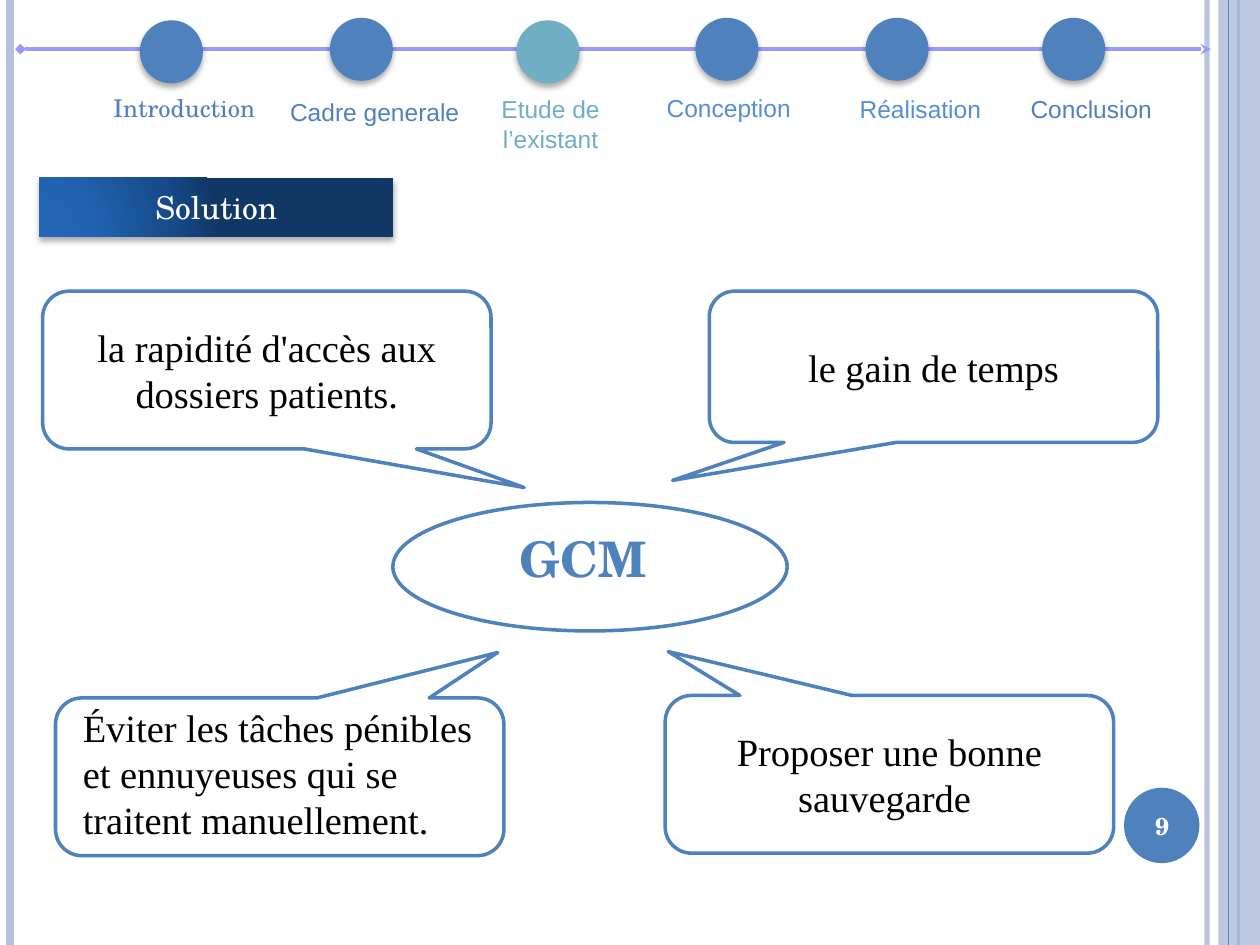
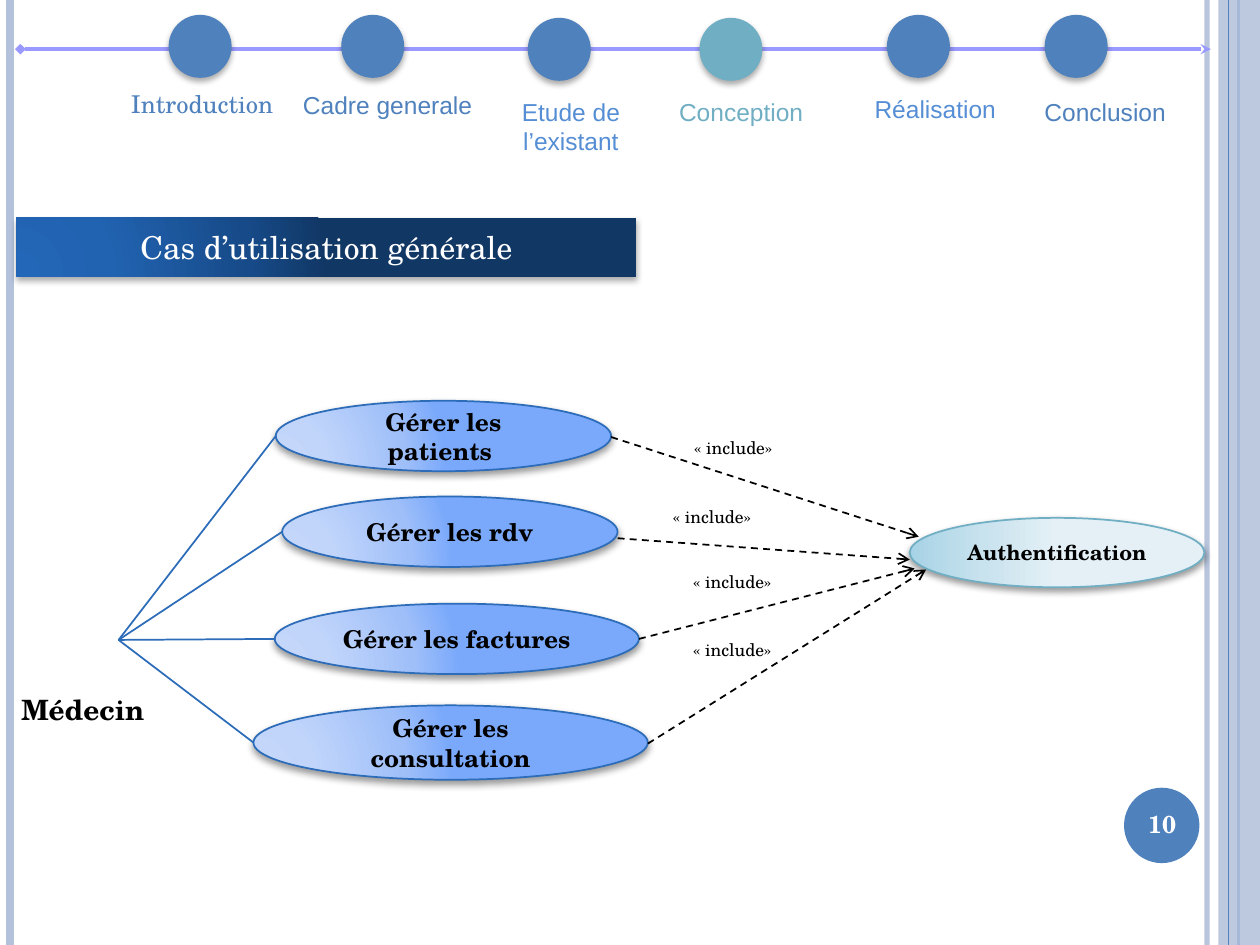
"""Builds two slides with a shared progress bar: the solution and the general use case."""
from lxml import etree
from pptx import Presentation
from pptx.dml.color import RGBColor
from pptx.enum.dml import MSO_LINE
from pptx.enum.shapes import MSO_CONNECTOR, MSO_SHAPE
from pptx.enum.text import MSO_ANCHOR, MSO_AUTO_SIZE, PP_ALIGN
from pptx.oxml.ns import qn
from pptx.util import Cm, Pt

STRAIGHT = MSO_CONNECTOR.STRAIGHT
OVAL = MSO_SHAPE.OVAL
RECTANGLE = MSO_SHAPE.RECTANGLE
STEP_CIRCLE = MSO_SHAPE.FLOWCHART_CONNECTOR
CALLOUT = MSO_SHAPE.ROUNDED_RECTANGULAR_CALLOUT
DASH = MSO_LINE.DASH
LEFT, CENTER = PP_ALIGN.LEFT, PP_ALIGN.CENTER
TOP, MIDDLE = MSO_ANCHOR.TOP, MSO_ANCHOR.MIDDLE
NO_AUTOFIT = MSO_AUTO_SIZE.NONE

COLORS = {
    "blue": "4F81BD", "light_blue": "558ED5", "teal": "70AEC3", "band": "B3C1DB",
    "violet": "9999FF", "use_case_line": "2C6CB9", "white": "FFFFFF", "black": "000000",
}
GRADIENTS = {
    "banner": ((0, "2367B8"), (30, "2263B1"), (75, "164A88"), (100, "113765")),
    "use_case": ((0, "C7D8FB"), (30, "C1D5FA"), (75, "9FBFF9"), (100, "7AA9FB")),
    "authentication": ((0, "A7D3E6"), (25, "C8E2EE"), (50, "E4F0F6")),
}
SHADOWS = {
    "small": {"alpha": 32000, "blurRad": 44450, "dist": 27940},
    "large": {"alpha": 40000, "blurRad": 50800, "dist": 25400},
}
SERIF, SANS, TIMES = "TeX Gyre Schola", "Arial", "Times New Roman"
FORMATS = {
    "title": {"name": SERIF, "size": Pt(18), "bold": False},
    "page": {"name": SERIF, "size": Pt(14), "bold": True},
    "step_serif": {"name": SERIF, "size": Pt(14), "bold": False},
    "step": {"name": SANS, "size": Pt(14), "bold": False},
    "center": {"name": SERIF, "size": Pt(28), "bold": True},
    "benefit": {"name": TIMES, "size": Pt(22), "bold": False},
    "use_case": {"name": SERIF, "size": Pt(14), "bold": True},
    "authentication": {"name": SERIF, "size": Pt(12), "bold": True},
    "actor": {"name": SERIF, "size": Pt(16), "bold": True},
    "include": {"name": SERIF, "size": Pt(10), "bold": False},
}


def style_shape(shape, fill=None, line=None, width=1, shadow=None, text=None,
                style=None, color="black", align=CENTER, anchor=MIDDLE, wrap=True):
    properties = shape.element.spPr
    shape.fill.background()
    if fill in COLORS:
        shape.fill.solid()
        shape.fill.fore_color.rgb = RGBColor.from_string(COLORS[fill])
    elif fill:
        gradient = etree.Element(qn("a:gradFill"), rotWithShape="1")
        stops = etree.SubElement(gradient, qn("a:gsLst"))
        for position, value in GRADIENTS[fill]:
            stop = etree.SubElement(stops, qn("a:gs"), pos=str(position * 1000))
            etree.SubElement(stop, qn("a:srgbClr"), val=value)
        if fill == "authentication":
            etree.SubElement(gradient, qn("a:lin"), ang="0", scaled="0")
        else:
            focus = etree.SubElement(gradient, qn("a:path"), path="circle")
            etree.SubElement(focus, qn("a:fillToRect"), l="5000", t="100000", r="120000", b="10000")
        properties.replace(properties.find(qn("a:noFill")), gradient)
    shape.line.fill.background()
    if line:
        shape.line.color.rgb = RGBColor.from_string(COLORS[line])
        shape.line.width = Pt(width)
    shape.shadow.inherit = False
    if shadow:
        values = SHADOWS[shadow]
        outer = etree.SubElement(properties.find(qn("a:effectLst")), qn("a:outerShdw"),
                                 blurRad=str(values["blurRad"]), dist=str(values["dist"]),
                                 dir="5400000", rotWithShape="0")
        shade = etree.SubElement(outer, qn("a:srgbClr"), val=COLORS["black"])
        etree.SubElement(shade, qn("a:alpha"), val=str(values["alpha"]))
    if text:
        frame = shape.text_frame
        frame.auto_size = NO_AUTOFIT
        frame.word_wrap = wrap
        frame.vertical_anchor = anchor
        paragraph = frame.paragraphs[0]
        paragraph.alignment = align
        run = paragraph.add_run()
        run.text = text
        for name, value in FORMATS[style].items():
            setattr(run.font, name, value)
        run.font.color.rgb = RGBColor.from_string(COLORS[color])
    return shape


def add_line(slide, start, end, color, width, dash=None, head=None, tail=None):
    connector = slide.shapes.add_connector(STRAIGHT, *map(Cm, start + end))
    connector.line.color.rgb = RGBColor.from_string(COLORS[color])
    connector.line.width = Pt(width)
    if dash:
        connector.line.dash_style = dash
    properties = connector.element.spPr
    for tag, kind in (("a:headEnd", head), ("a:tailEnd", tail)):
        if kind:
            etree.SubElement(properties.find(qn("a:ln")), qn(tag), type=kind)
    etree.SubElement(properties, qn("a:effectLst"))
    return connector


presentation = Presentation()
presentation.slide_width, presentation.slide_height = Cm(25.4), Cm(19.05)
layout = presentation.slide_layouts[5]
for placeholder in list(layout.placeholders):
    if placeholder.placeholder_format.idx >= 10:
        layout.shapes.element.remove(placeholder.element)

solution_slide = presentation.slides.add_slide(layout)
use_case_slide = presentation.slides.add_slide(layout)

shared = [add_line(solution_slide, (left, 0), (left, 19.05), color, width)
          for left, color, width in ((24.33, "band", 3), (0.2, "band", 4.5), (24.97, "blue", 1.5))]
band = solution_slide.shapes.add_shape(RECTANGLE, Cm(24.56), Cm(0), Cm(0.84), Cm(19.05))
style_shape(band, "band")
for shape, opacity in ((shared[0], "93000"), (band, "87000")):
    band_color = next(shape.element.spPr.iter(qn("a:srgbClr")))
    etree.SubElement(band_color, qn("a:alpha"), val=opacity)
shared.append(band)
shared.append(add_line(solution_slide, (24.77, 0), (24.77, 19.05), "blue", 0.75))
badge = solution_slide.shapes.add_shape(OVAL, Cm(22.66), Cm(15.88), Cm(1.52), Cm(1.52))
shared.append(style_shape(badge, "blue"))
shared.append(add_line(solution_slide, (0.41, 0.99), (24.41, 0.99), "violet", 2,
                       head="diamond", tail="stealth"))
for shape in shared:
    layout.shapes.element.append(shape.element)

STEPS = (
    ("Introduction", 3.58, 0.86, "blue", "step_serif", LEFT, True),
    ("Cadre generale", 5.41, 0.86, "blue", "step", CENTER, True),
    ("Etude de l’existant", 3.96, 1.45, "light_blue", "step", CENTER, True),
    ("Conception ", 3.96, 0.86, "light_blue", "step", CENTER, True),
    ("Réalisation", 2.97, 0.86, "light_blue", "step", CENTER, False),
    ("Conclusion", 3.2, 0.86, "blue", "step", CENTER, True),
)
PAGES = (
    {
        "slide": solution_slide, "title": "Solution", "banner": (0.79, 3.58, 7.14, 1.19),
        "page": "9", "page_box": (22.58, 15.93, 1.7, 1.45), "active": 2,
        "circles": ((2.82, 0.41), (6.65, 0.36), (10.41, 0.41),
                    (14.02, 0.36), (17.45, 0.36), (21.01, 0.36)),
        "labels": ((2.03, 1.75), (4.85, 1.83), (9.12, 1.78),
                   (12.78, 1.75), (17.07, 1.78), (20.4, 1.78)),
    },
    {
        "slide": use_case_slide, "title": "Cas d’utilisation générale",
        "banner": (0.33, 4.39, 12.5, 1.19),
        "page": " 10", "page_box": (22.33, 15.88, 2.06, 1.45), "active": 3,
        "circles": ((3.4, 0.3), (6.88, 0.3), (10.64, 0.36),
                    (14.1, 0.36), (17.88, 0.3), (21.06, 0.3)),
        "labels": ((2.39, 1.68), (5.11, 1.7), (9.53, 1.83),
                   (13.03, 1.83), (17.37, 1.78), (20.68, 1.83)),
    },
)
for page in PAGES:
    shapes = page["slide"].shapes
    title = shapes.title
    for name, value in zip(("left", "top", "width", "height"), page["banner"]):
        setattr(title, name, Cm(value))
    outline = etree.Element(qn("a:prstGeom"), prst="roundRect")
    etree.SubElement(outline, qn("a:avLst"))
    title.element.spPr.insert(1, outline)
    style_shape(title, "banner", shadow="small", text=page["title"], style="title", color="white")
    style_shape(shapes.add_textbox(*map(Cm, page["page_box"])),
                text=page["page"], style="page", color="white")
    for index, (text, width, height, color, style, align, wrap) in enumerate(STEPS):
        active = index == page["active"]
        circle = shapes.add_shape(STEP_CIRCLE, *map(Cm, page["circles"][index]), Cm(1.27), Cm(1.27))
        style_shape(circle, "teal" if active else "blue", shadow="small")
        label = shapes.add_textbox(*map(Cm, page["labels"][index]), Cm(width), Cm(height))
        style_shape(label, text=text, style=style, color="teal" if active else color,
                    align=align, anchor=TOP, wrap=wrap)

shapes = solution_slide.shapes
style_shape(shapes.add_shape(OVAL, Cm(7.92), Cm(10.13), Cm(7.95), Cm(2.59)), "white", "blue", 2)
style_shape(shapes.add_textbox(Cm(10.21), Cm(10.52), Cm(3.1), Cm(1.45)), text="GCM",
            style="center", color="blue", anchor=TOP, wrap=False)
BENEFITS = (
    (14.3, 5.87, 3.05, (-0.582, 0.751), "le gain de temps"),
    (0.86, 5.87, 3.18, (0.574, 0.745), "la rapidité d'accès aux dossiers patients."),
    (1.12, 14.07, 3.18, (0.486, -0.788), None),
    (13.41, 14.02, 3.18, (-0.493, -0.778), "Proposer une bonne sauvegarde "),
)
for left, top, height, pointer, text in BENEFITS:
    callout = shapes.add_shape(CALLOUT, Cm(left), Cm(top), Cm(9.04), Cm(height))
    callout.adjustments[0], callout.adjustments[1] = pointer
    style_shape(callout, "white", "blue", 2, text=text, style="benefit")
style_shape(shapes.add_textbox(Cm(1.42), Cm(14.07), Cm(8.56), Cm(4.01)),
            text="Éviter les tâches pénibles et ennuyeuses qui se traitent manuellement.",
            style="benefit", align=LEFT, anchor=TOP)

shapes = use_case_slide.shapes
style_shape(shapes.add_shape(OVAL, Cm(18.34), Cm(10.44), Cm(5.94), Cm(1.4)), "authentication",
            "teal", shadow="large", text="Authentification", style="authentication")
style_shape(shapes.add_textbox(Cm(0.18), Cm(13.84), Cm(3.43), Cm(0.94)), text="Médecin",
            style="actor", align=LEFT, anchor=TOP)
USE_CASES = (
    ("Gérer les patients ", (5.56, 8.08, 6.76, 1.42), 8.81, (18.52, 10.82), (13.74, 8.69)),
    ("Gérer les rdv", (5.69, 10.01, 6.76, 1.42), 10.85, (18.34, 11.28), (13.31, 10.08)),
    ("Gérer les factures", (5.54, 12.17, 7.34, 1.42), 12.88, (18.44, 11.46), (13.72, 11.38)),
    ("Gérer les consultation", (5.11, 14.22, 7.95, 1.5), 14.99, (18.67, 11.48), (13.72, 12.75)),
)
ACTOR_POINT = (2.39, 12.9)
for text, box, arrow_top, arrow_end, include_place in USE_CASES:
    left, top, width, height = box
    style_shape(shapes.add_shape(OVAL, *map(Cm, box)), "use_case", "use_case_line",
                shadow="large", text=text, style="use_case")
    add_line(use_case_slide, ACTOR_POINT, (left, top + height / 2), "use_case_line", 1)
    add_line(use_case_slide, (left + width, arrow_top), arrow_end, "black", 1, DASH, tail="arrow")
    style_shape(shapes.add_textbox(*map(Cm, include_place), Cm(2.39), Cm(0.69)),
                text="« include» ", style="include", align=LEFT, anchor=TOP)

presentation.save("out.pptx")
